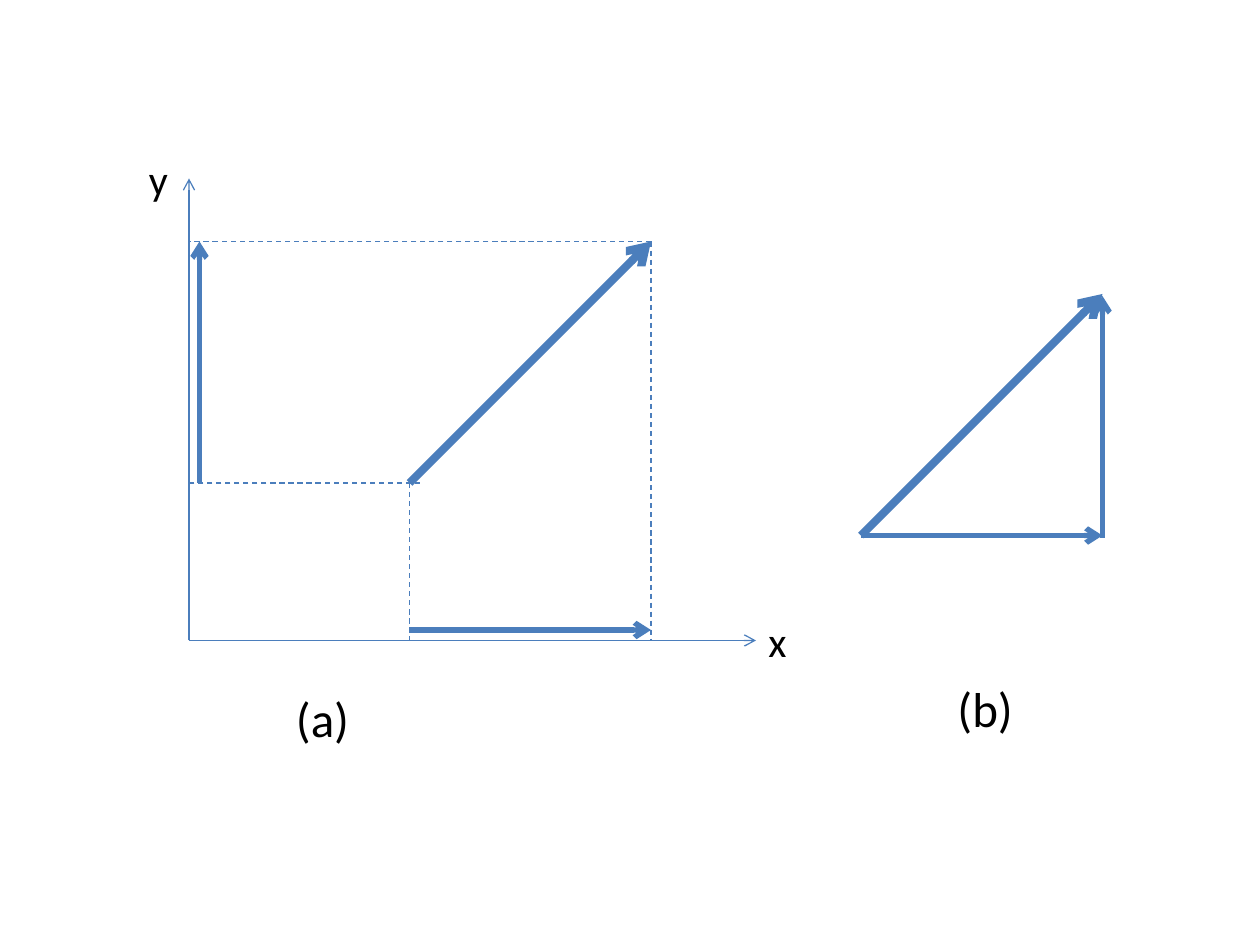
from lxml import etree
from pptx import Presentation
from pptx.dml.color import RGBColor
from pptx.enum.dml import MSO_LINE
from pptx.enum.shapes import MSO_CONNECTOR
from pptx.enum.text import MSO_AUTO_SIZE
from pptx.oxml.ns import qn
from pptx.util import Pt

STRAIGHT = MSO_CONNECTOR.STRAIGHT
DASH = MSO_LINE.DASH
FIT_TEXT = MSO_AUTO_SIZE.SHAPE_TO_FIT_TEXT

PX = 914400 // 120
THEME = {
    "line": RGBColor(0x4B, 0x7E, 0xBC),
    "text": RGBColor(0, 0, 0),
    "font": "Calibri",
    "axis_label": Pt(24),
    "caption": Pt(28),
    "thin": Pt(0.75),
    "component": Pt(3),
    "vector": Pt(4.5),
}

presentation = Presentation()
presentation.slide_width = 1200 * PX
presentation.slide_height = 900 * PX
slide = presentation.slides.add_slide(presentation.slide_layouts[6])
diagram = slide.shapes.add_group_shape()

origin_x, origin_y = 180, 610
tail_x, tail_y = 390, 460
head_x, head_y = 620, 230
triangle_left, triangle_right = 820, 1050
triangle_top, triangle_bottom = 280, 510

lines = [
    ("axis", origin_x, origin_y, 720, origin_y),
    ("axis", origin_x, origin_y, origin_x, 170),
    ("vector", tail_x, tail_y, head_x, head_y),
    ("component", tail_x, origin_y - 10, head_x, origin_y - 10),
    ("guide", head_x, head_y, head_x, origin_y),
    ("guide", head_x, head_y, origin_x, head_y),
    ("guide", tail_x + 10, tail_y, origin_x, tail_y),
    ("component", origin_x + 10, tail_y, origin_x + 10, head_y),
    ("guide", tail_x, tail_y, tail_x, origin_y),
    ("component", triangle_left, triangle_bottom, triangle_right, triangle_bottom),
    ("component", triangle_right, triangle_bottom + 2, triangle_right, triangle_top + 2),
    ("vector", triangle_left, triangle_bottom, triangle_right, triangle_top),
]
line_formats = {
    "axis": {"width": THEME["thin"]},
    "guide": {"width": THEME["thin"], "dash_style": DASH},
    "component": {"width": THEME["component"]},
    "vector": {"width": THEME["vector"]},
}

for role, *ends in lines:
    connector = diagram.shapes.add_connector(STRAIGHT, *[end * PX for end in ends])
    connector.line.color.rgb = THEME["line"]
    for name, value in line_formats[role].items():
        setattr(connector.line, name, value)
    properties = connector._element.spPr
    if role != "guide":
        etree.SubElement(properties.find(qn("a:ln")), qn("a:tailEnd"), type="arrow")
    etree.SubElement(properties, qn("a:effectLst"))

labels = [
    ("x", "axis_label", 720, 580, 42, 60),
    ("y", "axis_label", 130, 140, 42, 60),
    ("(a)", "caption", 270, 650, 76, 68),
    ("(b)", "caption", 900, 640, 78, 68),
]
for text, role, *box in labels:
    label = diagram.shapes.add_textbox(*[length * PX for length in box])
    frame = label.text_frame
    for name, value in {"word_wrap": False, "auto_size": FIT_TEXT}.items():
        setattr(frame, name, value)
    run = frame.paragraphs[0].add_run()
    run.text = text
    for name, value in {"name": THEME["font"], "size": THEME[role]}.items():
        setattr(run.font, name, value)
    run.font.color.rgb = THEME["text"]

presentation.save("out.pptx")
